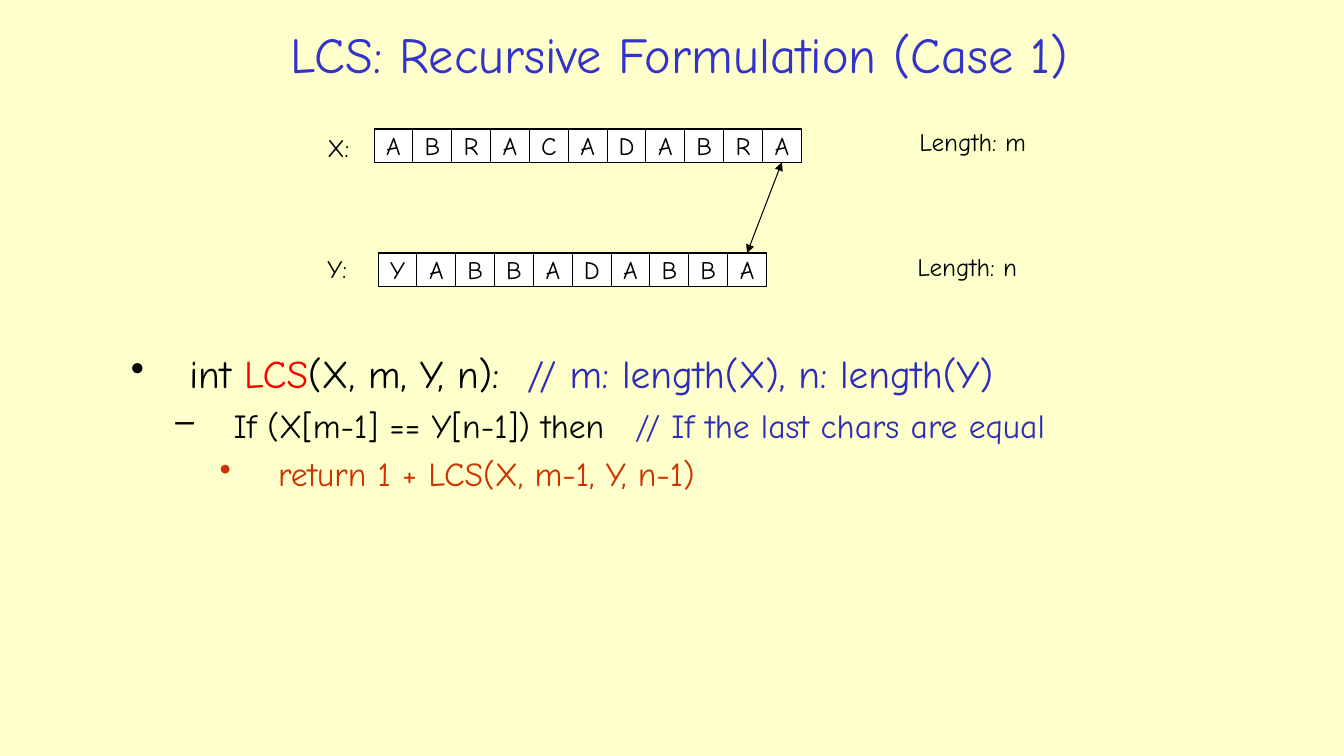
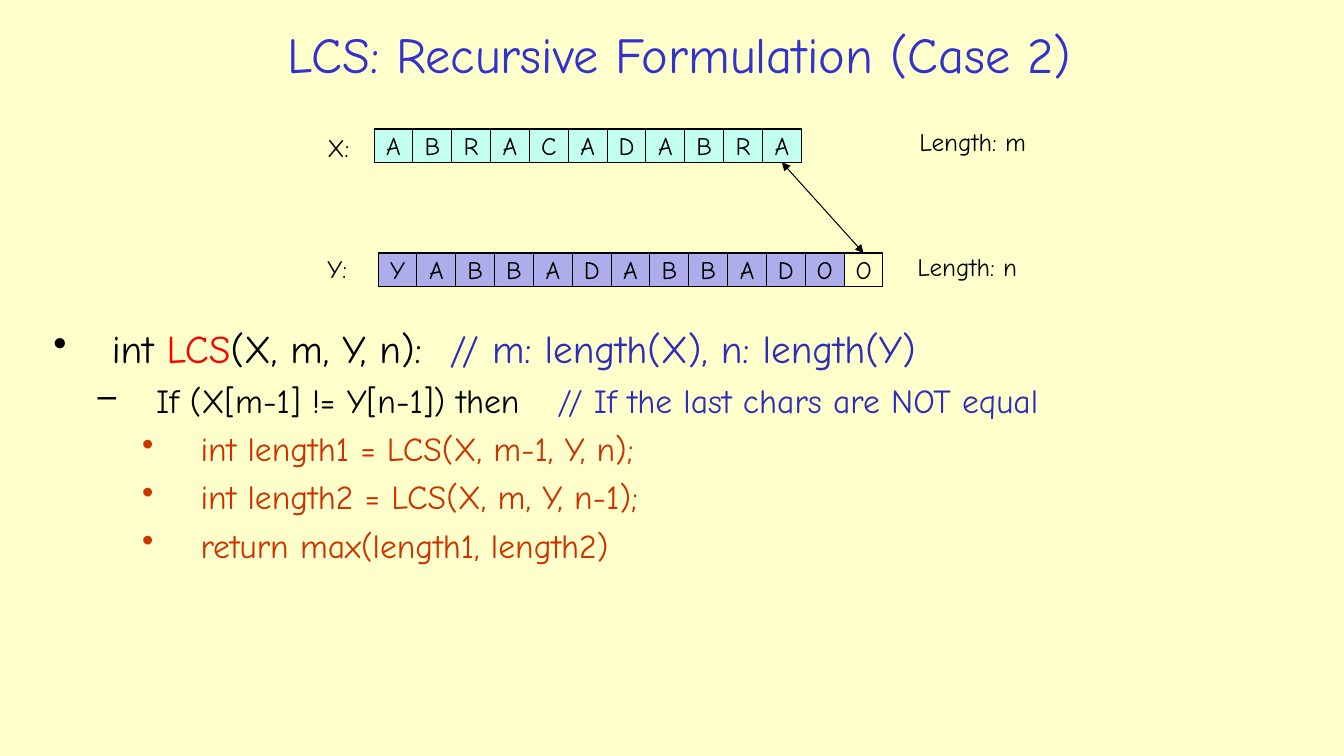
"""Build two slides on the recursive formulation of the longest common subsequence."""
import lxml.etree
import pptx
import pptx.dml.color
import pptx.enum.shapes
import pptx.enum.text
import pptx.oxml.ns
import pptx.util

RGBColor = pptx.dml.color.RGBColor
CREAM = RGBColor(0xFF, 0xFF, 0xCC)
BLACK = RGBColor(0, 0, 0)
WHITE = RGBColor(0xFF, 0xFF, 0xFF)
MINT = RGBColor(0xC2, 0xFF, 0xF0)
LILAC = RGBColor(0xAD, 0xAD, 0xEB)
TITLE_BLUE = RGBColor(0x33, 0x33, 0xCC)
COMMENT_BLUE = RGBColor(0x2D, 0x2D, 0xB9)
RED = RGBColor(0xFF, 0, 0)
RUST = RGBColor(0xCC, 0x33, 0)

FONT = "Comic Neue"
SLIDE_WIDTH = pptx.util.Inches(13.33)
SLIDE_HEIGHT = pptx.util.Inches(7.5)

CELL_WIDTH, CELL_HEIGHT = 2.89, 4.4
X_LEFT, X_TOP = 27.83, 17.07
Y_LEFT, Y_TOP = 28.13, 33.47
LINE_WIDTH = pptx.util.Pt(0.75)
LEVEL_SIZES = (28, 24, 24)
LEVEL_BULLETS = ("•", "–", "•")
HANGING = pptx.util.Inches(0.58)
LEVEL_STEP = pptx.util.Inches(0.44)

SIGNATURE = (0, 3.93, [("int ", BLACK), ("LCS", RED), ("(X, m, Y, n):\t", BLACK),
                       ("// m: length(X), n: length(Y)", COMMENT_BLUE)])


def across(percent):
    return int(SLIDE_WIDTH * percent / 100)


def down(percent):
    return int(SLIDE_HEIGHT * percent / 100)


def frame(left, top, width, height):
    return across(left), down(top), across(width), down(height)


def add_child(parent, tag, **attributes):
    child = lxml.etree.SubElement(parent, pptx.oxml.ns.qn(tag))
    for name, value in attributes.items():
        child.set(name, str(value))
    return child


def style_font(font, size, color):
    font.name = FONT
    font.size = pptx.util.Pt(size)
    font.color.rgb = color


def fill_text(shape, text, size, color, centred):
    text_frame = shape.text_frame
    text_frame.text = text
    para = text_frame.paragraphs[0]
    if centred:
        para.alignment = pptx.enum.text.PP_ALIGN.CENTER
        text_frame.vertical_anchor = pptx.enum.text.MSO_ANCHOR.MIDDLE
    style_font(para.runs[0].font, size, color)


def add_title(page, text):
    box = page.shapes.add_textbox(*frame(14.78, 2, 71.57, 10.13))
    box.text_frame.word_wrap = True
    fill_text(box, text, 36, TITLE_BLUE, True)


def add_label(page, text, left, top, width):
    box = page.shapes.add_textbox(*frame(left, top, width, 5.33))
    box.text_frame.word_wrap = False
    fill_text(box, text, 18, BLACK, False)


def add_strip(page, letters, left, top, fills):
    for column, (letter, fill) in enumerate(zip(letters, fills)):
        cell = page.shapes.add_shape(
            pptx.enum.shapes.MSO_SHAPE.RECTANGLE,
            *frame(left + column * CELL_WIDTH, top, CELL_WIDTH, CELL_HEIGHT))
        cell.shadow.inherit = False
        if fill is None:
            cell.fill.background()
        else:
            cell.fill.solid()
            cell.fill.fore_color.rgb = fill
        cell.line.color.rgb = BLACK
        cell.line.width = LINE_WIDTH
        cell.text_frame.word_wrap = False
        fill_text(cell, letter, 18, BLACK, True)


def add_double_arrow(page, x_count, y_count):
    arrow = page.shapes.add_connector(
        pptx.enum.shapes.MSO_CONNECTOR.STRAIGHT,
        across(X_LEFT + (x_count - 0.5) * CELL_WIDTH), down(X_TOP + CELL_HEIGHT),
        across(Y_LEFT + (y_count - 0.5) * CELL_WIDTH), down(Y_TOP))
    arrow.line.color.rgb = BLACK
    arrow.line.width = LINE_WIDTH
    line = arrow.line._get_or_add_ln()
    add_child(line, "a:headEnd", type="triangle")
    add_child(line, "a:tailEnd", type="triangle")
    add_child(arrow._element.spPr, "a:effectLst")


def add_code(page, place, lines):
    text_frame = page.shapes.add_textbox(*frame(*place)).text_frame
    text_frame.word_wrap = True
    for index, (level, comment_at, spans) in enumerate(lines):
        para = text_frame.add_paragraph() if index else text_frame.paragraphs[0]
        para.level = level
        properties = para._p.get_or_add_pPr()
        properties.set("marL", str(HANGING + level * LEVEL_STEP))
        properties.set("indent", str(-HANGING))
        add_child(properties, "a:buChar", char=LEVEL_BULLETS[level])
        if comment_at:
            tabs = add_child(properties, "a:tabLst")
            add_child(tabs, "a:tab", pos=pptx.util.Inches(comment_at), algn="l")
        if index:
            para.space_before = pptx.util.Pt(0.24 * LEVEL_SIZES[level])
        for text, color in spans:
            span = para.add_run()
            span.text = text
            style_font(span.font, LEVEL_SIZES[level], color)


def condition(test, comment):
    return (1, 5, [(f"If ({test}) then\t", BLACK), (comment, COMMENT_BLUE)])


def statement(text):
    return (2, None, [(text, RUST)])


def add_case(deck, number, y_letters, x_fills, y_fills, code_place, body):
    x_letters = "ABRACADABRA"
    page = deck.slides.add_slide(deck.slide_layouts[6])
    add_title(page, f"LCS: Recursive Formulation (Case {number})")
    add_strip(page, x_letters, X_LEFT, X_TOP, x_fills * len(x_letters))
    add_strip(page, y_letters, Y_LEFT, Y_TOP, y_fills)
    add_label(page, "X:", 23.63, 16.8, 3.45)
    add_label(page, "Y:", 23.63, 32.8, 3.23)
    add_label(page, "Length: m", 67.67, 16, 10.13)
    add_label(page, "Length: n", 67.52, 32.53, 9.68)
    add_double_arrow(page, len(x_letters), len(y_letters))
    add_code(page, code_place, [SIGNATURE] + body)


def main():
    deck = pptx.Presentation()
    deck.slide_width, deck.slide_height = SLIDE_WIDTH, SLIDE_HEIGHT
    background = deck.slide_master.background.fill
    background.solid()
    background.fore_color.rgb = CREAM

    add_case(deck, 1, "YABBADABBA", [WHITE], [WHITE] * 10, (9, 45.6, 87.25, 47.73), [
        condition("X[m-1] == Y[n-1]", "// If the last chars are equal"),
        statement("return 1 + LCS(X, m-1, Y, n-1)")])
    add_case(deck, 2, "YABBADABBADOO", [MINT], [LILAC] * 12 + [None],
             (3.23, 42.27, 94.3, 44.13), [
        condition("X[m-1] != Y[n-1]", "// If the last chars are NOT equal"),
        statement("int length1 = LCS(X, m-1, Y, n);"),
        statement("int length2 = LCS(X, m, Y, n-1);"),
        statement("return max(length1, length2)")])
    deck.save("out.pptx")


if __name__ == "__main__":
    main()
